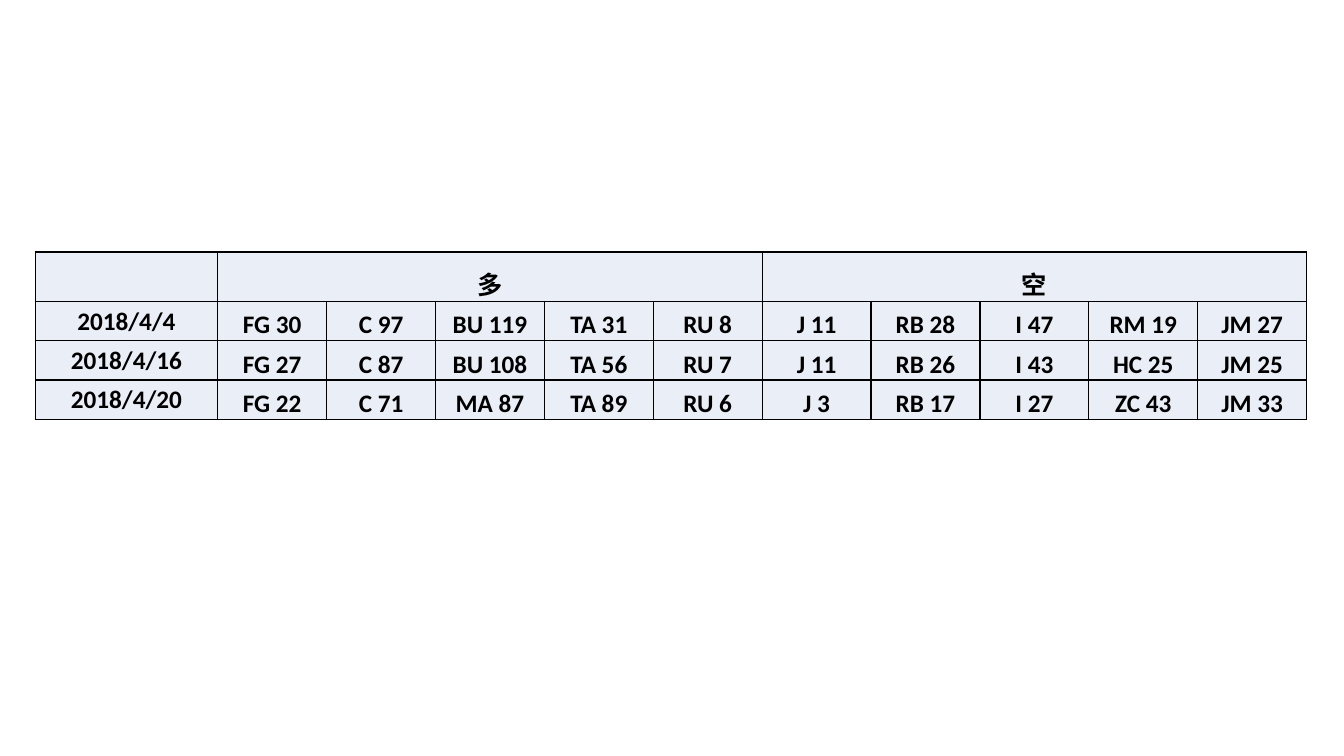
from pptx import Presentation
from pptx.dml.color import RGBColor
from pptx.enum.text import MSO_ANCHOR as Anchor, PP_ALIGN as Align
from pptx.oxml import parse_xml
from pptx.oxml.ns import nsdecls
from pptx.util import Inches, Pt

LONG, SHORT = "多", "空"
CONTRACTS_PER_SIDE = 5
POSITIONS = [
    ("2018/4/4", "FG 30", "C 97", "BU 119", "TA 31", "RU 8",
     "J 11", "RB 28", "I 47", "RM 19", "JM 27"),
    ("2018/4/16", "FG 27", "C 87", "BU 108", "TA 56", "RU 7",
     "J 11", "RB 26", "I 43", "HC 25", "JM 25"),
    ("2018/4/20", "FG 22", "C 71", "MA 87", "TA 89", "RU 6",
     "J 3", "RB 17", "I 27", "ZC 43", "JM 33"),
]


def color(hex_string):
    return RGBColor.from_string(hex_string)


def write(cell, text, size=18, font="Calibri", ink="000000", bold=True, anchor=Anchor.BOTTOM):
    cell.margin_left = cell.margin_right = cell.margin_top = Inches(0.01)
    cell.margin_bottom = 0
    cell.vertical_anchor = anchor
    if not text:
        return
    paragraph = cell.text_frame.paragraphs[0]
    paragraph.alignment = Align.CENTER
    run = paragraph.add_run()
    run.text = text
    run.font.size, run.font.name, run.font.bold = Pt(size), font, bold
    run.font.color.rgb = color(ink)


def style_cell(cell, fill="EAEFF7", line="000000", width=1):
    # Borders come before the fill in the cell properties
    properties = cell._tc.get_or_add_tcPr()
    for side in ("lnL", "lnR", "lnT", "lnB"):
        properties.append(parse_xml(
            f'<a:{side} {nsdecls("a")} w="{Pt(width)}"><a:solidFill>'
            f'<a:srgbClr val="{line}"/></a:solidFill></a:{side}>'))
    cell.fill.solid()
    cell.fill.fore_color.rgb = color(fill)


def add_positions_table(slide, left, top, width, height, date_width=1.81, header_height=0.49):
    column_count = 1 + 2 * CONTRACTS_PER_SIDE
    row_count = 1 + len(POSITIONS)
    table = slide.shapes.add_table(row_count, column_count, Inches(left), Inches(top),
                                   Inches(width), Inches(height)).table
    table.first_row = table.horz_banding = False

    # Column widths and row heights
    contract_width = (width - date_width) / (column_count - 1)
    for index, column in enumerate(table.columns):
        column.width = Inches(contract_width if index else date_width)
    row_height = (height - header_height) / len(POSITIONS)
    for index, row in enumerate(table.rows):
        row.height = Inches(row_height if index else header_height)

    for cell in table.iter_cells():
        style_cell(cell)

    # Header: one merged cell for each side of the market
    write(table.cell(0, 0), "")
    for side, title in enumerate((LONG, SHORT)):
        first = 1 + side * CONTRACTS_PER_SIDE
        table.cell(0, first).merge(table.cell(0, first + CONTRACTS_PER_SIDE - 1))
        write(table.cell(0, first), title)

    # Dates and contracts
    for row, values in enumerate(POSITIONS, start=1):
        for column, text in enumerate(values):
            write(table.cell(row, column), text,
                  anchor=Anchor.BOTTOM if column else Anchor.MIDDLE)


def main():
    presentation = Presentation()
    presentation.slide_width, presentation.slide_height = Inches(13.33), Inches(7.5)
    slide = presentation.slides.add_slide(presentation.slide_layouts[6])
    add_positions_table(slide, 0.35, 2.5, 12.61, 1.66)
    presentation.save("out.pptx")


if __name__ == "__main__":
    main()
